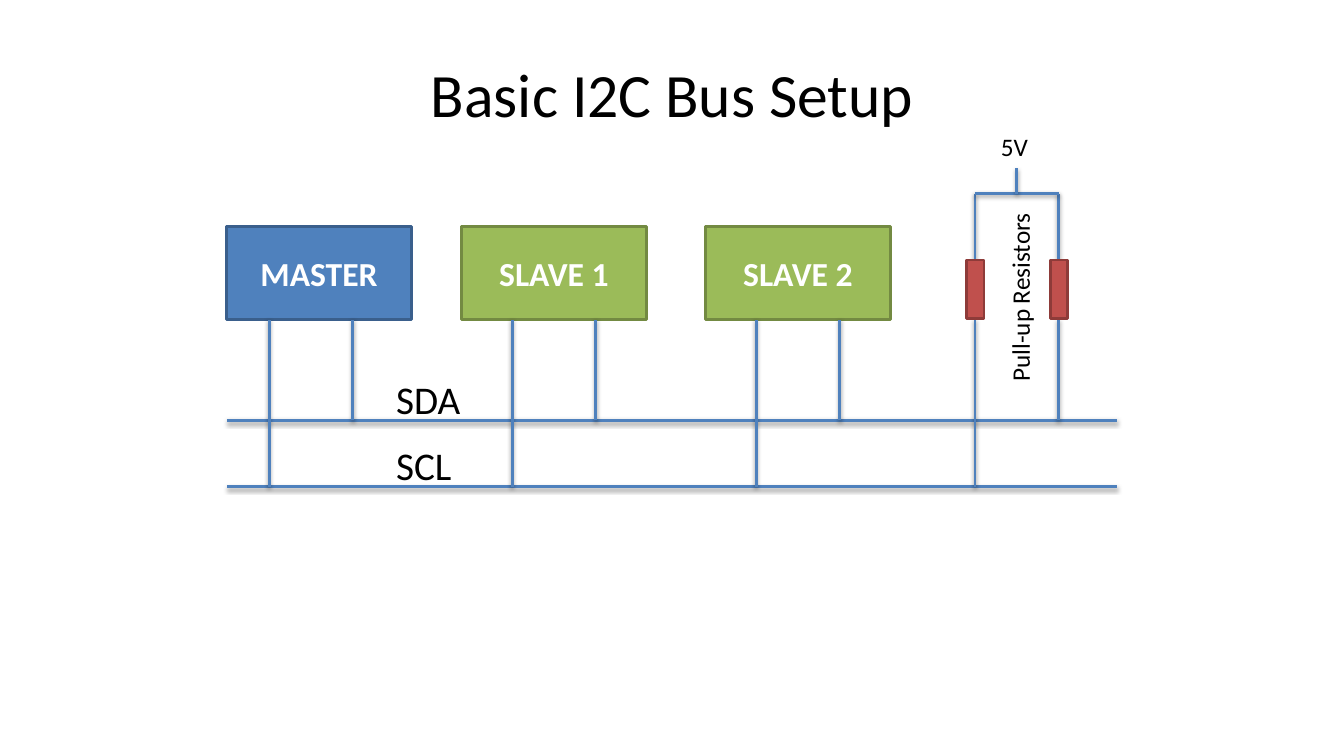
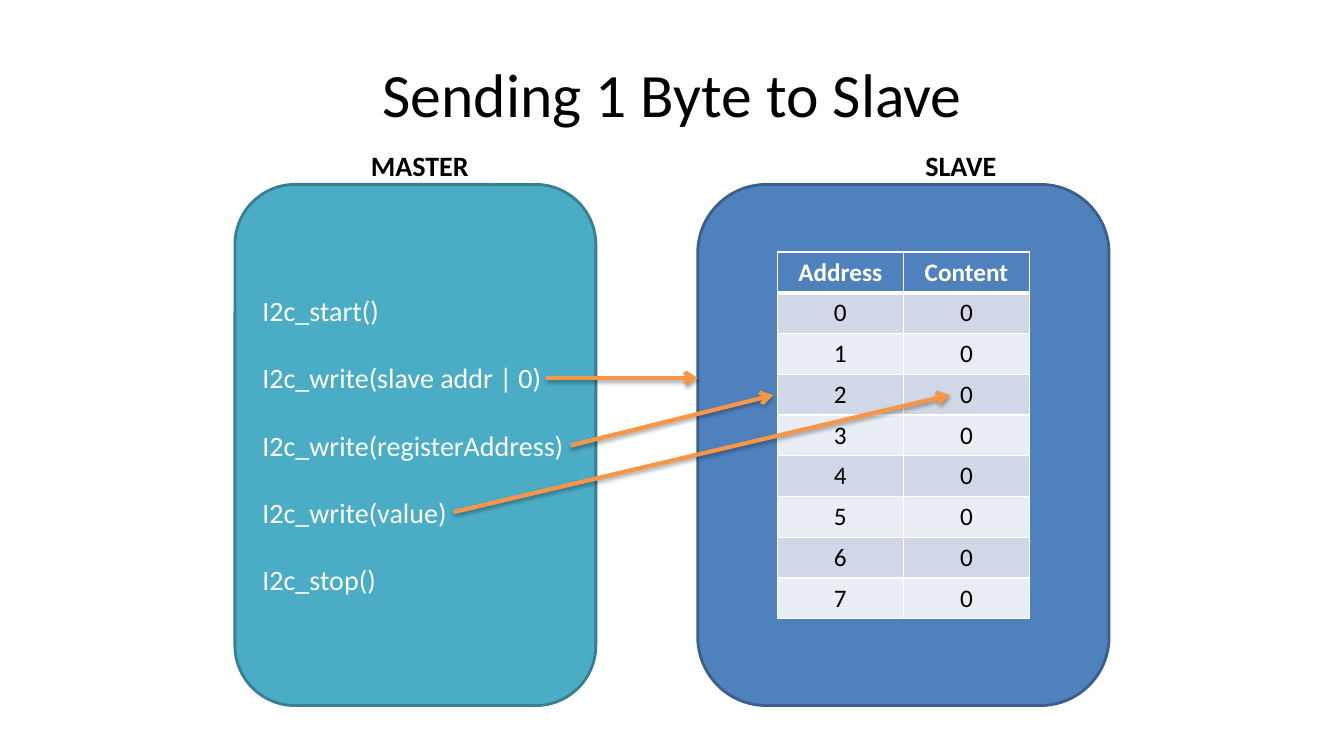
from dataclasses import dataclass
from typing import NamedTuple

from pptx import Presentation
from pptx.dml.color import RGBColor as Rgb
from pptx.enum.shapes import MSO_CONNECTOR as Link, MSO_SHAPE as Kind
from pptx.enum.text import MSO_ANCHOR as Anchor, MSO_AUTO_SIZE as Fit, PP_ALIGN as Align
from pptx.oxml import parse_xml
from pptx.oxml.ns import nsdecls
from pptx.shapes.autoshape import Shape
from pptx.slide import Slide
from pptx.table import _Cell as Cell
from pptx.util import Inches, Pt


@dataclass(frozen=True)
class Theme:
    face: str = "Calibri"
    black: str = "000000"
    white: str = "FFFFFF"
    blue: str = "4F81BD"
    navy: str = "3A5F8C"
    green: str = "9BBB59"
    moss: str = "738A42"
    red: str = "C0504D"
    brick: str = "8E3B39"
    teal: str = "4BACC6"
    deep: str = "377F92"
    orange: str = "F79646"
    bands: tuple[str, str] = ("E9EDF4", "D0D8E8")
    head: int = 44
    bus: int = 28
    chip: int = 24
    code: int = 20
    small: int = 18


class Box(NamedTuple):
    left: float
    top: float
    width: float
    height: float
    fill: str
    edge: str
    text: str = ""
    kind: Kind = Kind.RECTANGLE


class Label(NamedTuple):
    text: str
    left: float
    top: float
    width: float
    height: float
    size: int
    bold: bool = False
    turn: int = 0


class Wire(NamedTuple):
    x1: float
    y1: float
    x2: float
    y2: float


T = Theme()

SDA, SCL, FOOT = 4.17, 4.83, 3.17
STEP = 0.83
PINS = (2.67, 5.08, 7.5, 9.67)
RAIL, PEAK, CAP = 1.92, 1.67, 2.58

CHIPS = (
    Box(2.25, 2.25, 1.83, 0.92, T.blue, T.navy, "MASTER"),
    Box(4.58, 2.25, 1.83, 0.92, T.green, T.moss, "SLAVE 1"),
    Box(7, 2.25, 1.83, 0.92, T.green, T.moss, "SLAVE 2"),
)
SIGNS = (
    Label("5V", 9.83, 1.25, 0.47, 0.4, T.small),
    Label("Pull-up Resistors", 9.17, 2.74, 1.89, 0.4, T.small, turn=270),
    Label("SCL", 3.83, 4.33, 0.76, 0.57, T.bus),
    Label("SDA", 3.83, 3.67, 0.85, 0.57, T.bus),
)
CODE = (
    "I2c_start()",
    "I2c_write(slave addr | 0)",
    "I2c_write(registerAddress)",
    "I2c_write(value)",
    "I2c_stop()",
)
PANELS = (
    Box(2.33, 1.83, 3.58, 5.17, T.teal, T.deep, "\n".join(CODE), Kind.ROUNDED_RECTANGLE),
    Box(6.92, 1.83, 4.08, 5.17, T.blue, T.navy, kind=Kind.ROUNDED_RECTANGLE),
)
HEADS = (
    Label("MASTER", 3.58, 1.42, 1.18, 0.44, T.code, True),
    Label("SLAVE", 9.08, 1.42, 0.91, 0.44, T.code, True),
)
ROWS = [("Address", "Content")] + [(str(n), "0") for n in range(8)]
SENDS = (
    Wire(5.42, 3.75, 6.92, 3.75),
    Wire(5.66, 4.42, 7.67, 3.92),
    Wire(4.5, 5.08, 9.42, 3.92),
)


def style(para, size: int, color: str, bold: bool = False) -> None:
    font = para.font
    font.name, font.size, font.bold = T.face, Pt(size), bold
    font.color.rgb = Rgb.from_string(color)


def start(deck, text: str) -> Slide:
    slide = deck.slides.add_slide(deck.slide_layouts[5])
    title = slide.shapes.title
    title.left, title.top = Inches(0.67), Inches(0.3)
    title.width, title.height = Inches(12), Inches(1.25)
    frame = title.text_frame
    frame.text = text
    frame.vertical_anchor = Anchor.MIDDLE
    frame.paragraphs[0].alignment = Align.CENTER
    style(frame.paragraphs[0], T.head, T.black)
    return slide


def add_box(slide: Slide, box: Box) -> Shape:
    shape = slide.shapes.add_shape(box.kind, *map(Inches, box[:4]))
    shape.shadow.inherit = False
    shape.fill.solid()
    shape.fill.fore_color.rgb = Rgb.from_string(box.fill)
    shape.line.color.rgb = Rgb.from_string(box.edge)
    shape.line.width = Pt(2)
    if box.text:
        frame = shape.text_frame
        frame.text = box.text
        frame.word_wrap = True
        frame.vertical_anchor = Anchor.MIDDLE
    return shape


def add_label(slide: Slide, label: Label) -> None:
    shape = slide.shapes.add_textbox(*map(Inches, label[1:5]))
    shape.rotation = label.turn
    frame = shape.text_frame
    frame.text = label.text
    frame.word_wrap = False
    frame.auto_size = Fit.SHAPE_TO_FIT_TEXT
    style(frame.paragraphs[0], label.size, T.black, label.bold)


def add_wire(slide: Slide, wire: Wire, color: str = T.blue,
             width: float = 2, shade: int = 38, arrow: bool = False) -> None:
    line = slide.shapes.add_connector(Link.STRAIGHT, *map(Inches, wire))
    line.line.color.rgb = Rgb.from_string(color)
    line.line.width = Pt(width)
    if arrow:
        line.line._get_or_add_ln().append(
            parse_xml(f'<a:tailEnd {nsdecls("a")} type="arrow"/>'))
    drop = Pt(1.8 if arrow else 1.6)
    line._element.spPr.append(parse_xml(
        f'<a:effectLst {nsdecls("a")}><a:outerShdw blurRad="{Pt(3.1)}" dist="{drop}" '
        f'dir="5400000" rotWithShape="0"><a:srgbClr val="{T.black}">'
        f'<a:alpha val="{shade * 1000}"/></a:srgbClr></a:outerShdw></a:effectLst>'))


def add_edge(cell: Cell, top: int, base: int) -> None:
    props = cell._tc.get_or_add_tcPr()
    for spot, (side, width) in enumerate(zip("LRTB", (1, 1, top, base))):
        props.insert(spot, parse_xml(
            f'<a:ln{side} {nsdecls("a")} w="{Pt(width)}"><a:solidFill>'
            f'<a:srgbClr val="{T.white}"/></a:solidFill></a:ln{side}>'))


def add_grid(slide: Slide) -> None:
    height = 3.64
    frame = slide.shapes.add_table(
        len(ROWS), 2, Inches(7.71), Inches(2.5), Inches(2.5), Inches(height))
    grid = frame.table
    for r, row in enumerate(ROWS):
        first = r == 0
        for c, text in enumerate(row):
            cell = grid.cell(r, c)
            cell.text = text
            para = cell.text_frame.paragraphs[0]
            para.alignment = Align.CENTER
            style(para, T.small, T.white if first else T.black, first)
            cell.fill.solid()
            cell.fill.fore_color.rgb = Rgb.from_string(T.blue if first else T.bands[r % 2])
            add_edge(cell, 3 if r == 1 else 1, 3 if first else 1)


def draw_bus(deck) -> None:
    slide = start(deck, "Basic I2C Bus Setup")
    for chip in CHIPS:
        para = add_box(slide, chip).text_frame.paragraphs[0]
        para.alignment = Align.CENTER
        style(para, T.chip, T.white, True)
    wires = [Wire(2.25, y, 11.08, y) for y in (SDA, SCL)]
    for x in PINS:
        wires += [Wire(x, SCL, x, FOOT), Wire(x + STEP, SDA, x + STEP, FOOT)]
    left, right = PINS[-1], PINS[-1] + STEP
    mid = (left + right) / 2
    wires += [Wire(x, CAP, x, RAIL) for x in (left, right)]
    wires += [Wire(right, RAIL, left, RAIL), Wire(mid, RAIL, mid, PEAK)]
    for wire in wires:
        add_wire(slide, wire)
    for x in (left, right):
        add_box(slide, Box(x - 0.08, CAP, 0.17, 0.58, T.red, T.brick))
    for sign in SIGNS:
        add_label(slide, sign)


def draw_send(deck) -> None:
    slide = start(deck, "Sending 1 Byte to Slave")
    master, _ = [add_box(slide, panel) for panel in PANELS]
    for n, para in enumerate(master.text_frame.paragraphs):
        para.alignment = Align.LEFT
        para.space_before = Pt(24 if n else 0)
        style(para, T.code, T.white)
    for head in HEADS:
        add_label(slide, head)
    add_grid(slide)
    for send in SENDS:
        add_wire(slide, send, T.orange, 3, 35, True)


def main() -> None:
    deck = Presentation()
    deck.slide_width, deck.slide_height = Inches(13.33), Inches(7.5)
    draw_bus(deck)
    draw_send(deck)
    deck.save("out.pptx")


if __name__ == "__main__":
    main()
